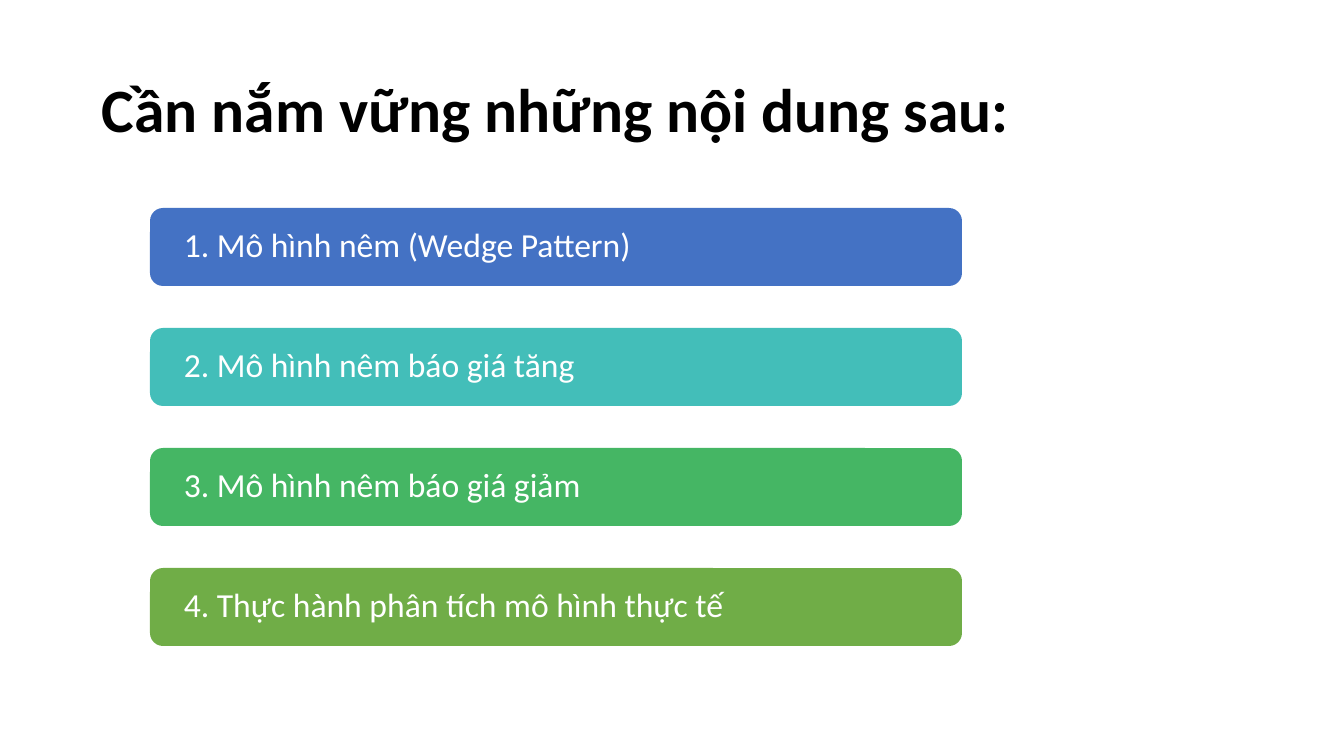
import pptx
import pptx.dml.color
import pptx.enum.shapes
import pptx.enum.text
import pptx.util

TITLE = "Cần nắm vững những nội dung sau:"
TOPICS = [
    ("1. Mô hình nêm (Wedge Pattern)", "blue"),
    ("2. Mô hình nêm báo giá tăng", "teal"),
    ("3. Mô hình nêm báo giá giảm", "green"),
    ("4. Thực hành phân tích mô hình thực tế", "olive"),
]
COLORS = {
    "black": "000000",
    "white": "FFFFFF",
    "blue": "4472C4",
    "teal": "43BEB9",
    "green": "45B664",
    "olive": "70AD47",
}
FONT = "Calibri"

PX_PER_INCH = 100.8
PAGE_SIZE = (1344, 756)
TITLE_AREA = (92, 40, 1159, 146)
BAR_LEFT, BAR_TOP, BAR_WIDTH, BAR_HEIGHT = 150, 208, 812, 78
BAR_PITCH = 120


def px(length):
    return pptx.util.Inches(length / PX_PER_INCH)


def rgb(name):
    return pptx.dml.color.RGBColor.from_string(COLORS[name])


def write(box, text, *, size, color, inset, bold=False):
    """Put one left-aligned, vertically centred line of text in a box."""
    frame = box.text_frame
    frame.word_wrap = True
    frame.vertical_anchor = pptx.enum.text.MSO_ANCHOR.MIDDLE
    frame.margin_left = frame.margin_right = px(inset)
    frame.margin_top = frame.margin_bottom = 0
    para = frame.paragraphs[0]
    para.alignment = pptx.enum.text.PP_ALIGN.LEFT
    para.line_spacing = 0.9
    span = para.add_run()
    span.text = text
    span.font.name = FONT
    span.font.size = pptx.util.Pt(size)
    span.font.bold = bold
    span.font.color.rgb = rgb(color)


def add_bar(page, top, text, color):
    bar = page.shapes.add_shape(
        pptx.enum.shapes.MSO_SHAPE.ROUNDED_RECTANGLE,
        px(BAR_LEFT), px(top), px(BAR_WIDTH), px(BAR_HEIGHT))
    bar.shadow.inherit = False
    bar.fill.solid()
    bar.fill.fore_color.rgb = rgb(color)
    bar.line.fill.background()
    write(bar, text, size=24, color="white", inset=30)


def main():
    deck = pptx.Presentation()
    deck.slide_width, deck.slide_height = map(px, PAGE_SIZE)
    page = deck.slides.add_slide(deck.slide_layouts[6])

    title = page.shapes.add_textbox(*map(px, TITLE_AREA))
    write(title, TITLE, size=44, color="black", inset=10, bold=True)
    for row, (text, color) in enumerate(TOPICS):
        add_bar(page, BAR_TOP + row * BAR_PITCH, text, color)

    deck.save("out.pptx")


if __name__ == "__main__":
    main()
